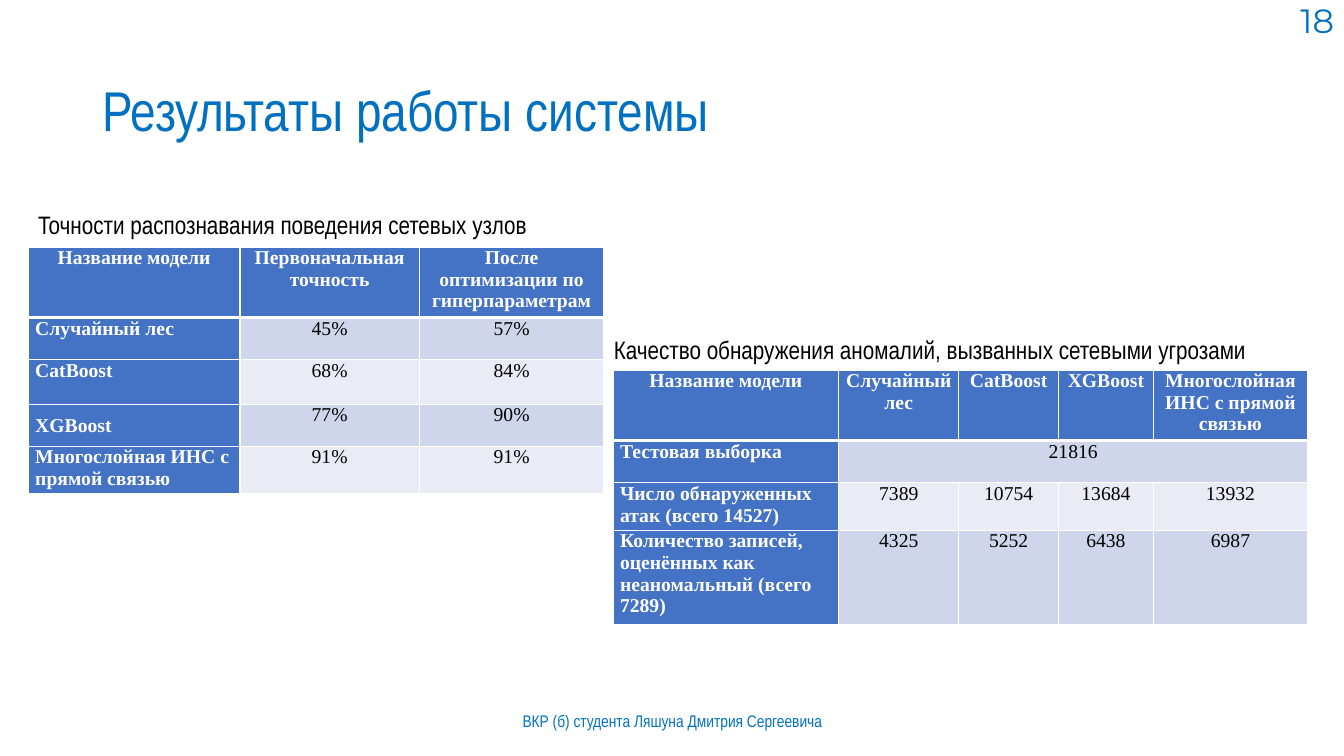
import pptx
import pptx.util
import pptx.dml.color
import pptx.enum.text
import pptx.oxml.ns
from lxml import etree

Inches, Pt = pptx.util.Inches, pptx.util.Pt
ALIGN = pptx.enum.text.PP_ALIGN
ANCHOR = pptx.enum.text.MSO_ANCHOR

# Content: text, (left, top, width, height), style, alignment, anchor
TEXTS = [
    ("Результаты работы системы", (0.92, 0.4, 11.5, 1.45), "title", ALIGN.LEFT, ANCHOR.MIDDLE),
    ("ВКР (б) студента Ляшуна Дмитрия Сергеевича", (4.42, 6.95, 4.5, 0.4), "footer",
     ALIGN.CENTER, ANCHOR.MIDDLE),
    ("18", (10.33, 0, 3, 0.4), "number", ALIGN.RIGHT, ANCHOR.MIDDLE),
    ("Точности распознавания поведения сетевых узлов", (0.28, 2.03, 7.24, 0.4), "caption",
     ALIGN.LEFT, ANCHOR.TOP),
    ("Качество обнаружения аномалий, вызванных сетевыми угрозами", (5.99, 3.27, 7.07, 0.4),
     "caption", ALIGN.LEFT, ANCHOR.TOP),
]

# A value of None continues the merged cell on its left
TABLES = [
    {
        "corner": (0.28, 2.45),
        "columns": [2.1, 1.78, 1.83],
        "heights": [0.64, 0.42, 0.44, 0.42, 0.42],
        "rows": [
            ("Название модели", "Первоначальная точность", "После оптимизации по гиперпараметрам"),
            ("Случайный лес", "45%", "57%"),
            ("CatBoost", "68%", "84%"),
            ("XGBoost", "77%", "90%"),
            ("Многослойная ИНС с прямой связью", "91%", "91%"),
        ],
        "spacing": {(3, 0): 1.5},
    },
    {
        "corner": (6.08, 3.67),
        "columns": [2.24, 1.19, 0.99, 0.94, 1.53],
        "heights": [0.69, 0.42, 0.47, 0.93],
        "rows": [
            ("Название модели", "Случайный лес", "CatBoost", "XGBoost",
             "Многослойная ИНС с прямой связью"),
            ("Тестовая выборка", "21816", None, None, None),
            ("Число обнаруженных атак (всего 14527)", "7389", "10754", "13684", "13932"),
            ("Количество записей, оценённых как неаномальный (всего 7289)",
             "4325", "5252", "6438", "6987"),
        ],
        "spacing": {},
    },
]

THEME = {
    "blue": "0070C0", "black": "000000", "white": "FFFFFF",
    "header": "4472C4", "bands": ("CFD5EA", "E9EBF5"),
    "thin": 1, "thick": 3,
    "title": {"size": 40, "name": "Arial Narrow", "color": "blue"},
    "footer": {"size": 12, "name": "Arial Narrow", "color": "blue"},
    "number": {"size": 24, "name": "Montserrat", "color": "blue"},
    "caption": {"size": 18, "name": "Arial Narrow", "color": "black"},
    "heading": {"size": 14, "name": "Times New Roman", "color": "white", "bold": True},
    "value": {"size": 14, "name": "Times New Roman", "color": "black", "bold": False},
}


def rgb(code):
    return pptx.dml.color.RGBColor.from_string(code)


def set_all(target, values):
    for name, value in values.items():
        setattr(target, name, value)


def write(frame, text, style, align, spacing=None):
    para = frame.paragraphs[0]
    set_all(para, {"alignment": align, "line_spacing": spacing})
    span = para.add_run()
    span.text = text
    look = dict(THEME[style])
    span.font.color.rgb = rgb(THEME[look.pop("color")])
    look["size"] = Pt(look["size"])
    set_all(span.font, look)


def add_borders(cell, row):
    widths = {"lnL": "thin", "lnR": "thin",
              "lnT": "thick" if row == 1 else "thin",
              "lnB": "thick" if row == 0 else "thin"}
    properties = cell._tc.get_or_add_tcPr()
    for side, width in widths.items():
        line = etree.SubElement(properties, pptx.oxml.ns.qn("a:" + side),
                                w=str(Pt(THEME[width])))
        fill = etree.SubElement(line, pptx.oxml.ns.qn("a:solidFill"))
        etree.SubElement(fill, pptx.oxml.ns.qn("a:srgbClr"), val=THEME["white"])


def add_text(page, text, place, style, align, anchor):
    box = page.shapes.add_textbox(*map(Inches, place))
    set_all(box.text_frame, {"word_wrap": True, "vertical_anchor": anchor})
    write(box.text_frame, text, style, align, 0.9 if style == "title" else None)


def add_grid(page, data):
    rows, columns, heights = data["rows"], data["columns"], data["heights"]
    size = (sum(columns), sum(heights))
    grid = page.shapes.add_table(len(rows), len(columns),
                                 *map(Inches, data["corner"] + size)).table
    set_all(grid, {"first_row": False, "horz_banding": False})
    for tracks, lengths, name in ((grid.columns, columns, "width"), (grid.rows, heights, "height")):
        for track, length in zip(tracks, lengths):
            setattr(track, name, Inches(length))

    for r, values in enumerate(rows):
        for c, value in enumerate(values):
            cell = grid.cell(r, c)
            heading = r == 0 or c == 0
            set_all(cell, {"margin_left": Inches(0.07), "margin_right": Inches(0.07),
                           "margin_top": 0, "margin_bottom": 0,
                           "vertical_anchor": ANCHOR.TOP})
            add_borders(cell, r)
            cell.fill.solid()
            cell.fill.fore_color.rgb = rgb(THEME["header"] if heading
                                           else THEME["bands"][(r - 1) % 2])
            if value is not None:
                align = ALIGN.LEFT if c == 0 and r > 0 else ALIGN.CENTER
                write(cell.text_frame, value, "heading" if heading else "value",
                      align, data["spacing"].get((r, c)))
        if None in values:
            grid.cell(r, values.index(None) - 1).merge(grid.cell(r, len(values) - 1))


def main():
    deck = pptx.Presentation()
    set_all(deck, {"slide_width": Inches(13.33), "slide_height": Inches(7.5)})
    page = deck.slides.add_slide(deck.slide_layouts[6])

    # Title, footer, page number and captions
    for item in TEXTS:
        add_text(page, *item)

    # Result tables
    for data in TABLES:
        add_grid(page, data)

    deck.save("out.pptx")


if __name__ == "__main__":
    main()
